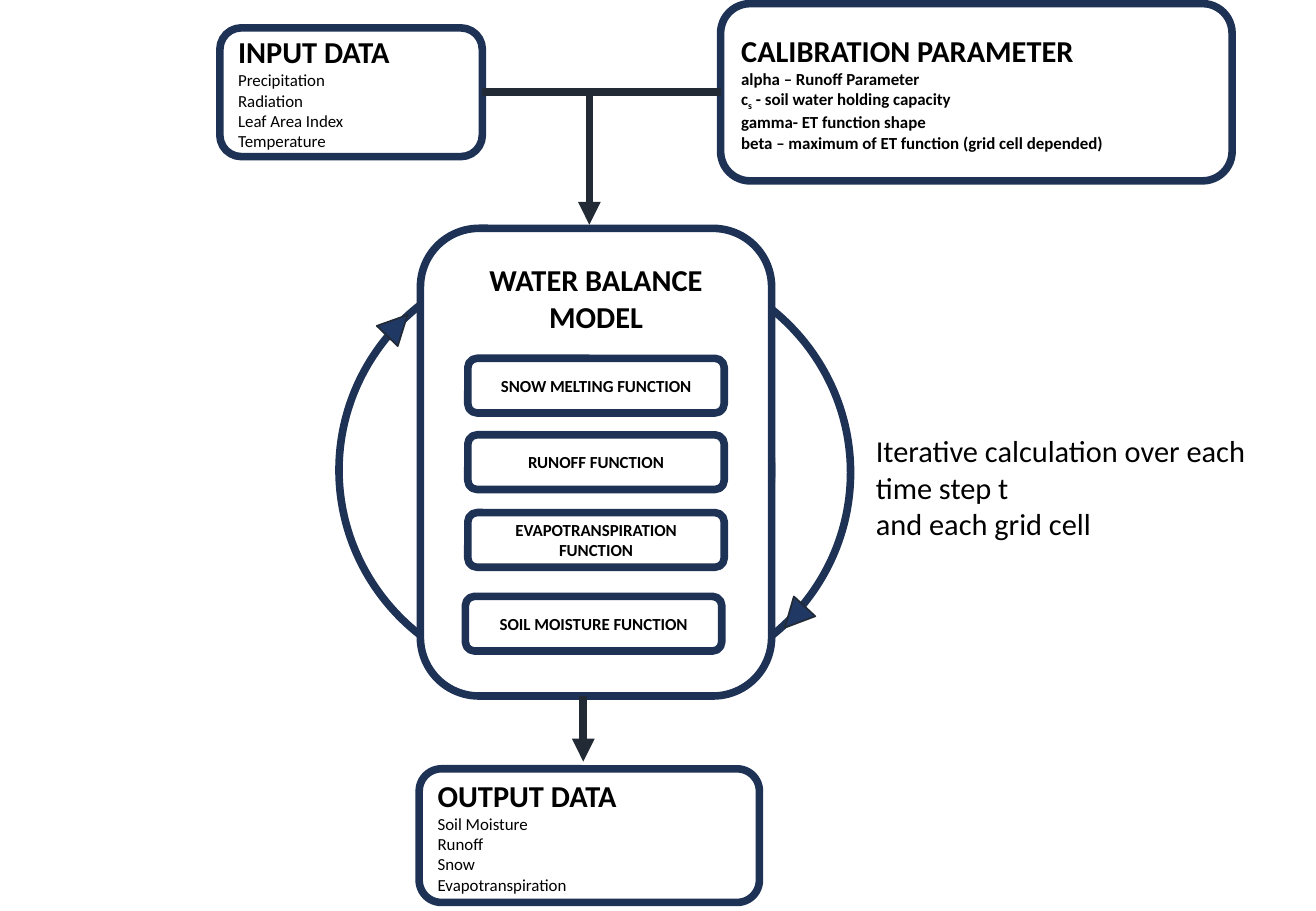
import pptx
import pptx.util
import pptx.dml.color
import pptx.enum.shapes
import pptx.enum.text
import pptx.oxml.ns
from lxml import etree

KIND = pptx.enum.shapes.MSO_SHAPE
ALIGN = pptx.enum.text.PP_ALIGN
ANCHOR = pptx.enum.text.MSO_ANCHOR
NAVY, SLATE, BLUE, WHITE, BLACK = "1E3256", "222A35", "203864", "FFFFFF", "000000"


def rgb(code):
    return pptx.dml.color.RGBColor.from_string(code)


def cell(count):
    """Length of a number of grid cells, ten to the inch."""
    return pptx.util.Inches(count / 10)


class Chart:
    font = "Calibri"
    head, body = 18, 10
    thick, thin = 4.5, 1

    def __init__(self, slide):
        self.shapes = slide.shapes

    def shape(self, kind, box, fill=WHITE, line=NAVY, width=thick, turn=0):
        item = self.shapes.add_shape(kind, *map(cell, box))
        item.shadow.inherit = False
        item.fill.solid()
        item.fill.fore_color.rgb = rgb(fill)
        item.line.color.rgb = rgb(line)
        item.line.width = pptx.util.Pt(width)
        item.rotation = turn
        return item

    def put(self, frame, rows, align=ALIGN.LEFT):
        """Fill a frame with (text, size, bold) rows; odd parts of a tuple text are subscript."""
        frame.word_wrap = True
        for i, (text, size, bold) in enumerate(rows):
            para = frame.paragraphs[0] if i == 0 else frame.add_paragraph()
            para.alignment = align
            para.font.name = self.font
            para.font.size = pptx.util.Pt(size)
            para.font.bold = bold
            para.font.color.rgb = rgb(BLACK)
            parts = (text,) if isinstance(text, str) else text
            for j, part in enumerate(parts):
                run = para.add_run()
                run.text = part
                if j % 2:
                    run.font._element.set("baseline", "-25000")

    def panel(self, box, title, lines, bold=False):
        """Rounded box with a heading and a list below it."""
        item = self.shape(KIND.ROUNDED_RECTANGLE, box)
        item.text_frame.vertical_anchor = ANCHOR.MIDDLE
        rows = [(title, self.head, True)] + [(line, self.body, bold) for line in lines]
        self.put(item.text_frame, rows)
        return item

    def label(self, box, text, size=body, anchor=ANCHOR.MIDDLE):
        """Rounded box with centred bold text."""
        item = self.shape(KIND.ROUNDED_RECTANGLE, box)
        item.text_frame.vertical_anchor = anchor
        self.put(item.text_frame, [(text, size, True)], ALIGN.CENTER)
        return item

    def note(self, box, lines):
        item = self.shapes.add_textbox(*map(cell, box))
        self.put(item.text_frame, [(line, self.head, False) for line in lines])
        item.text_frame.auto_size = pptx.enum.text.MSO_AUTO_SIZE.SHAPE_TO_FIT_TEXT

    def line(self, x1, y1, x2, y2, arrow=False):
        item = self.shapes.add_connector(
            pptx.enum.shapes.MSO_CONNECTOR.STRAIGHT, *map(cell, (x1, y1, x2, y2)))
        item.line.color.rgb = rgb(SLATE)
        item.line.width = pptx.util.Pt(self.thick)
        name = pptx.oxml.ns.qn
        if arrow:
            etree.SubElement(item.line._get_or_add_ln(), name("a:tailEnd"), type="triangle")
        etree.SubElement(item._element.spPr, name("a:effectLst"))
        return item


def main():
    deck = pptx.Presentation()
    deck.slide_width = pptx.util.Inches(10.83)
    deck.slide_height = pptx.util.Inches(7.5)
    chart = Chart(deck.slides.add_slide(deck.slide_layouts[6]))

    chart.panel((34.5, 63.3, 28, 11), "OUTPUT DATA",
                ["Soil Moisture", "Runoff", "Snow", "Evapotranspiration"])

    for left, top in ((34.4, 21.5), (27.9, 21.3)):
        chart.shape(KIND.OVAL, (left, top, 35.6, 34.8))
    model = chart.label((34.6, 18.8, 28.9, 38.5), "WATER BALANCE MODEL",
                        chart.head, ANCHOR.TOP)
    model.text_frame.margin_top = cell(1.3)
    steps = (
        (38.5, 29.5, "SNOW MELTING"),
        (38.5, 35.8, "RUNOFF"),
        (38.5, 42.2, "EVAPOTRANSPIRATION"),
        (38.3, 49.1, "SOIL MOISTURE"),
    )
    for left, top, step in steps:
        chart.label((left, top, 21.1, 4.5), f"{step} FUNCTION")
    for left, top, turn in ((31.5, 25.6, 43.9), (64.2, 49.6, 222.7)):
        chart.shape(KIND.ISOSCELES_TRIANGLE, (left, top, 2.4, 2.4),
                    BLUE, SLATE, chart.thin, turn)

    source = chart.panel((18.1, 2.3, 21.6, 10.6), "INPUT DATA",
                         ["Precipitation", "Radiation", "Leaf Area Index", "Temperature"])
    tuning = chart.panel((59.3, 0.3, 42.1, 14.6), "CALIBRATION PARAMETER", [
        "alpha – Runoff Parameter",
        ("c", "s", " - soil water holding capacity"),
        "gamma- ET function shape",
        "beta – maximum of ET function (grid cell depended)",
    ], bold=True)

    link = chart.line(39.8, 7.6, 59.3, 7.6)
    link.begin_connect(source, 3)
    link.end_connect(tuning, 1)
    chart.line(48.5, 7.6, 48.5, 18.5, arrow=True)
    chart.line(48, 57.3, 48, 62.7, arrow=True)

    chart.note((71.1, 35.1, 33.6, 10.1),
               ["Iterative calculation over each time step t", "and each grid cell"])
    deck.save("out.pptx")


if __name__ == "__main__":
    main()
